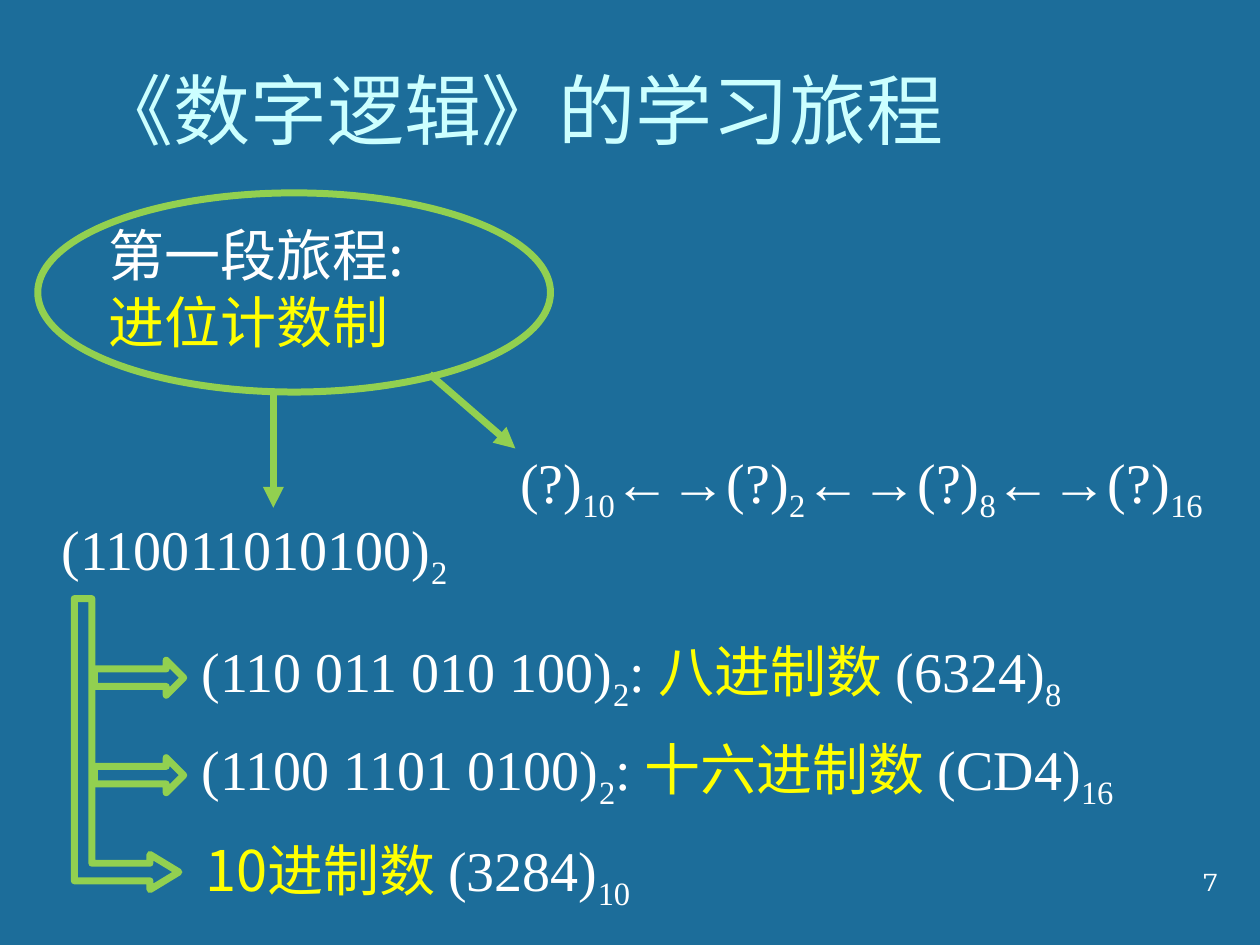
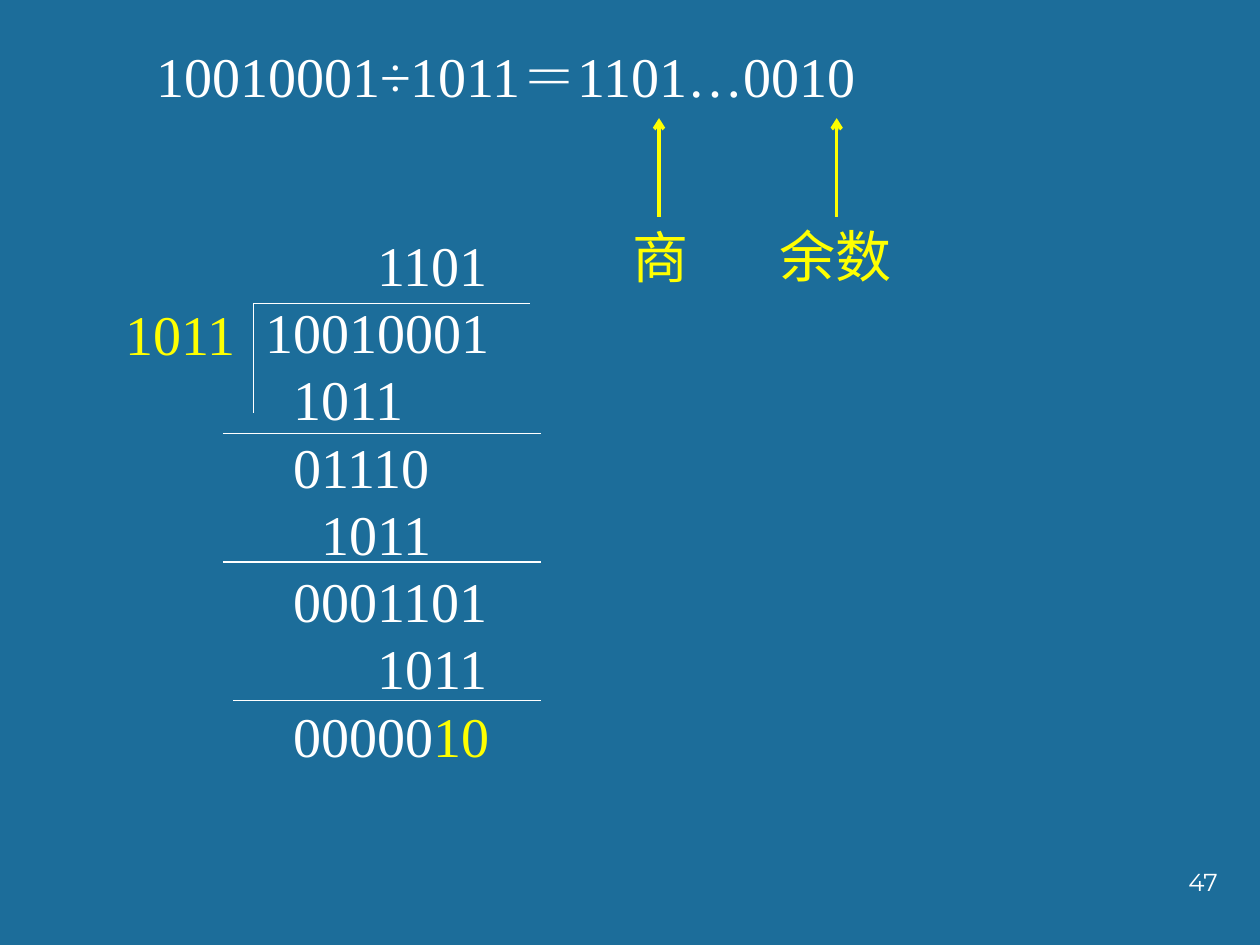
from pptx import Presentation
from pptx.dml.color import RGBColor
from pptx.enum.shapes import MSO_CONNECTOR as Connector, MSO_SHAPE as Shape
from pptx.enum.text import MSO_ANCHOR as Anchor, MSO_AUTO_SIZE as AutoSize, PP_ALIGN as Align
from pptx.oxml.ns import qn
from pptx.util import Pt
from lxml.etree import SubElement

THEME = {
    "background": RGBColor.from_string("1C6D9A"),
    "green": RGBColor.from_string("92D050"),
    "yellow": RGBColor.from_string("FFFF00"),
    "white": RGBColor.from_string("FFFFFF"),
}
CJK, SERIF, SANS = "Noto Sans CJK SC", "Times New Roman", "Montserrat"
STYLES = {
    "title": {"font": CJK, "size": 44, "color": RGBColor.from_string("CCFFFF")},
    "digits": {"font": SERIF, "size": 32, "color": THEME["white"]},
    "sub": {"font": SERIF, "size": 32, "color": THEME["white"], "baseline": "-25000"},
    "digits_key": {"font": SERIF, "size": 32, "color": THEME["yellow"]},
    "words": {"font": CJK, "size": 32, "color": THEME["white"]},
    "words_key": {"font": CJK, "size": 32, "color": THEME["yellow"]},
    "number": {"font": SANS, "size": 14, "color": THEME["white"]},
}


def write(sp, box, paragraphs, align=Align.LEFT, anchor=Anchor.TOP):
    """Place sp at box and fill it with (left indent, [(style, text), ...]) paragraphs."""
    sp.left, sp.top, sp.width, sp.height = [Pt(v) for v in box]
    tf = sp.text_frame
    frame = {"word_wrap": True, "auto_size": AutoSize.NONE, "vertical_anchor": anchor}
    for name, value in frame.items():
        setattr(tf, name, value)
    for i, (indent, runs) in enumerate(paragraphs):
        p = tf.add_paragraph() if i else tf.paragraphs[0]
        p.alignment = align
        if indent:
            p._p.get_or_add_pPr().set("marL", str(Pt(indent)))
        for style_name, text in runs:
            style = STYLES[style_name]
            r = p.add_run()
            r.text = text
            r.font.size = Pt(style["size"])
            r.font.color.rgb = style["color"]
            r.font.name = style["font"]
            rPr = r._r.get_or_add_rPr()
            SubElement(rPr, qn("a:ea")).set("typeface", style["font"])
            if "baseline" in style:
                rPr.set("baseline", style["baseline"])


def draw_line(s, ends, color, width, head=None):
    line = s.shapes.add_connector(Connector.STRAIGHT, *[Pt(v) for v in ends])
    line.line.color.rgb = THEME[color]
    line.line.width = Pt(width)
    spPr = line._element.spPr
    if head:
        SubElement(spPr.find(qn("a:ln")), qn("a:tailEnd")).set("type", head)
    SubElement(spPr, qn("a:effectLst"))


prs = Presentation()
prs.slide_width, prs.slide_height = Pt(720), Pt(540)
fill = prs.slide_master.background.fill
fill.solid()
fill.fore_color.rgb = THEME["background"]
title_only = prs.slide_layouts[5]

# Slide numbers and titles
headings = [
    ("7", "title", "《数字逻辑》的学习旅程", (48, 32, 612, 60), Anchor.BOTTOM),
    ("47", "digits", "10010001÷1011＝1101…0010", (82, 20, 460, 46), Anchor.TOP),
]
slides = []
for number, style, title, box, anchor in headings:
    s = prs.slides.add_slide(title_only)
    write(s.shapes.title, box, [(0, [(style, title)])], anchor=anchor)
    write(s.shapes.add_textbox(0, 0, 0, 0), (553, 492, 150, 36),
          [(0, [("number", number)])], align=Align.RIGHT)
    slides.append(s)
journey, division = slides

# Journey: number systems
outlines = [
    (Shape.OVAL, (21.6, 110.2, 293, 113.8), 0, ()),
    (Shape.RIGHT_ARROW, (54, 377.3, 51, 20), 0, ()),
    (Shape.RIGHT_ARROW, (54, 433, 51, 20), 0, ()),
    (Shape.BENT_UP_ARROW, (-10.8, 395.3, 166.3, 59.8), 90, (0.168, 0.168, 0.277)),
]
for kind, box, rotation, adjustments in outlines:
    sp = journey.shapes.add_shape(kind, *[Pt(v) for v in box])
    sp.shadow.inherit = False
    sp.fill.background()
    sp.line.color.rgb = THEME["green"]
    sp.line.width = Pt(4)
    sp.rotation = rotation
    for i, value in enumerate(adjustments):
        sp.adjustments[i] = value

for ends in [(156.2, 223.2, 156.2, 290.2), (245.5, 213.8, 294.5, 256.3)]:
    draw_line(journey, ends, "green", 4, "triangle")

conversions = [("digits", "(?)"), ("sub", "10")]
for base in ("2", "8", "16"):
    conversions += [("digits", "←→(?)"), ("sub", base)]

journey_texts = [
    ((54.7, 122.4, 266, 85), [(0, [("words", "第一段旅程:")]), (0, [("words_key", "进位计数制")])]),
    ((290.2, 252, 458, 46), [(0, conversions)]),
    ((28, 290.2, 458, 46), [(0, [("digits", "(110011010100)"), ("sub", "2")])]),
    ((110.2, 473.8, 600, 46),
     [(0, [("words_key", "10进制数 "), ("digits", "(3284)"), ("sub", "10")])]),
]
groupings = [
    (360, "(110 011 010 100)", "八进制数 ", "(6324)", "8"),
    (416.2, "(1100 1101 0100)", "十六进制数 ", "(CD4)", "16"),
]
for top, bits, name, value, base in groupings:
    runs = [("digits", bits), ("sub", "2"), ("digits", ": "),
            ("words_key", name), ("digits", value), ("sub", base)]
    journey_texts.append(((108, top, 610, 46), [(0, runs)]))
for box, paragraphs in journey_texts:
    write(journey.shapes.add_textbox(0, 0, 0, 0), box, paragraphs)

# Division: long division, indented in steps of one digit
DIGIT = 16
steps = [(4, "1101"), (0, "10010001"), (1, "1011"), (1, "01110"),
         (2, "1011"), (1, "0001101"), (4, "1011")]
working = [(DIGIT * shift, [("digits", digits)]) for shift, digits in steps]
working.append((DIGIT, [("digits", "00000"), ("digits_key", "10")]))

division_texts = [
    ((144.7, 128.2, 180, 318), working),
    ((64.8, 167.8, 90, 46), [(0, [("digits_key", "1011")])]),
    ((354.2, 123.8, 60, 46), [(0, [("words_key", "商")])]),
    ((438.5, 123.1, 90, 46), [(0, [("words_key", "余数")])]),
]
for box, paragraphs in division_texts:
    write(division.shapes.add_textbox(0, 0, 0, 0), box, paragraphs)

rules = [(144.7, 173.5, 303, 173.5), (144.7, 173.5, 144.7, 236.2), (127.4, 247.7, 309, 247.7),
         (127.4, 321.1, 309, 321.1), (133.2, 400.3, 309, 400.3)]
for ends in rules:
    draw_line(division, ends, "white", 0.75)
for x in (376.6, 478.1):
    draw_line(division, (x, 123.8, x, 67.5), "yellow", 2, "arrow")

prs.save("out.pptx")
